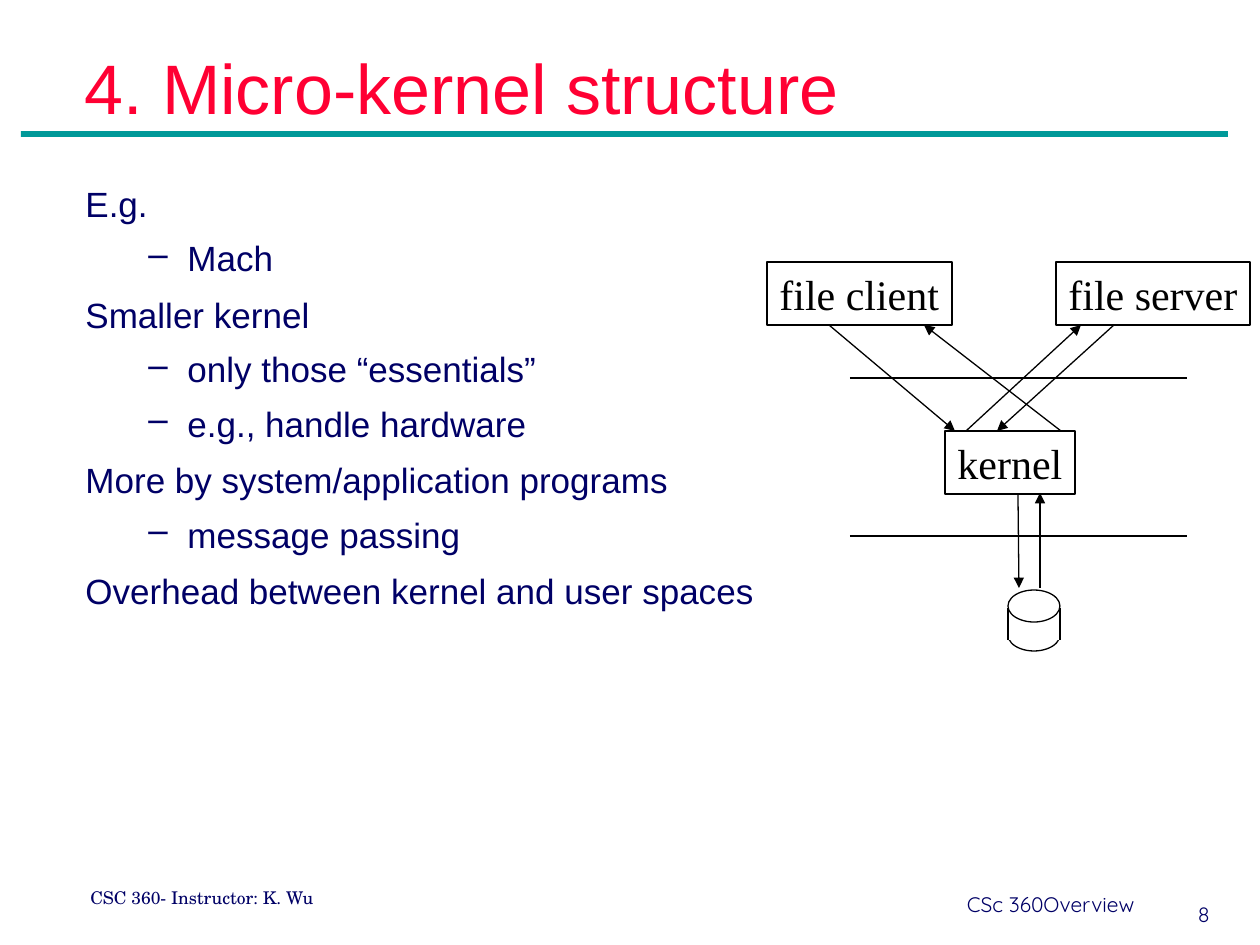
from lxml.etree import SubElement
from pptx import Presentation
from pptx.dml.color import RGBColor
from pptx.enum.shapes import MSO_CONNECTOR, MSO_SHAPE
from pptx.enum.text import MSO_ANCHOR, PP_ALIGN
from pptx.oxml.ns import qn
from pptx.util import Pt

PX = 914400 / 126  # EMU in one px
NAVY, RED, TEAL, BLACK, WHITE = "000066", "FF0033", "009999", "000000", "FFFFFF"

TITLE = "4. Micro-kernel structure"
OUTLINE = [
    (0, "E.g."),
    (1, "Mach"),
    (0, "Smaller kernel"),
    (1, "only those “essentials”"),
    (1, "e.g., handle hardware"),
    (0, "More by system/application programs"),
    (1, "message passing"),
    (0, "Overhead between kernel and user spaces"),
]
# level: left margin px, first-line indent px, space before pt
LEVELS = {0: (47, -47, 7), 1: (102, -39, 6)}

COMPONENTS = [
    ("file client", (767, 262, 185, 63)),
    ("file server", (1056, 262, 194, 63)),
    ("kernel", (945, 431, 130, 63)),
]
BOUNDARIES = [378, 536]
BOUNDARY_LEFT, BOUNDARY_RIGHT = 850, 1187
MESSAGES = [
    (829, 325, 955, 431),
    (966, 431, 1081, 325),
    (1114, 325, 997, 431),
    (1061, 431, 924, 325),
    (1018, 494, 1019, 588),
    (1040, 588, 1040, 493),
]
DISK_LEFT, DISK_RIGHT, DISK_TOP, DISK_HEIGHT, DISK_LID = 1008, 1060, 590, 61, 32


def px(length):
    return round(length * PX)


def color(value):
    return RGBColor.from_string(value)


def add_text(frame, text, size, font, ink, align=PP_ALIGN.LEFT,
             anchor=MSO_ANCHOR.TOP, wrap=True):
    frame.word_wrap = wrap
    frame.vertical_anchor = anchor
    para = frame.paragraphs[0]
    para.text = text
    para.alignment = align
    set_font(para, size, font, ink)


def set_font(para, size, font, ink):
    para.font.size = Pt(size)
    para.font.name = font
    para.font.color.rgb = color(ink)


def add_label(page, area, text, **style):
    box = page.shapes.add_textbox(*map(px, area))
    add_text(box.text_frame, text, **style)


def add_outline(page, area):
    frame = page.shapes.add_textbox(*map(px, area)).text_frame
    frame.word_wrap = True
    for index, (level, text) in enumerate(OUTLINE):
        para = frame.paragraphs[0] if index == 0 else frame.add_paragraph()
        para.text = text
        para.level = level
        para.line_spacing = 1.05
        margin, indent, before = LEVELS[level]
        para.space_before = Pt(before if index else 0)
        properties = para._p.get_or_add_pPr()
        properties.set("marL", str(px(margin)))
        properties.set("indent", str(px(indent)))
        if level:
            SubElement(properties, qn("a:buChar"), char="–")
        else:
            SubElement(properties, qn("a:buNone"))
        set_font(para, 20, "Arial", NAVY)


def add_figure(shapes, kind, area, fill=None, line=None):
    figure = shapes.add_shape(kind, *map(px, area))
    figure.shadow.inherit = False
    if fill:
        figure.fill.solid()
        figure.fill.fore_color.rgb = color(fill)
    else:
        figure.fill.background()
    if line:
        figure.line.color.rgb = color(line)
        figure.line.width = Pt(0.75)
    else:
        figure.line.fill.background()
    return figure


def add_line(shapes, ends, arrow=False):
    line = shapes.add_connector(MSO_CONNECTOR.STRAIGHT, *map(px, ends))
    line.line.color.rgb = color(BLACK)
    line.line.width = Pt(0.75)
    SubElement(line._element.spPr, qn("a:effectLst"))
    if arrow:
        SubElement(line.line._get_or_add_ln(), qn("a:tailEnd"), type="triangle")


def add_disk(page):
    """Cylinder: a white body hides the upper half of the base ellipse."""
    parts = page.shapes.add_group_shape().shapes
    width = DISK_RIGHT - DISK_LEFT
    base_top = DISK_TOP + DISK_HEIGHT - DISK_LID
    side_top, side_bottom = DISK_TOP + 18, DISK_TOP + 50
    add_figure(parts, MSO_SHAPE.OVAL, (DISK_LEFT, base_top, width, DISK_LID), line=BLACK)
    add_figure(parts, MSO_SHAPE.RECTANGLE,
               (DISK_LEFT, side_top, width, side_bottom - side_top), fill=WHITE)
    add_figure(parts, MSO_SHAPE.OVAL, (DISK_LEFT, DISK_TOP, width, DISK_LID), line=BLACK)
    for x in (DISK_LEFT, DISK_RIGHT):
        add_line(parts, (x, side_bottom, x, side_top))


def main():
    deck = Presentation()
    deck.slide_width, deck.slide_height = px(1260), px(945)
    page = deck.slides.add_slide(deck.slide_layouts[6])

    add_figure(page.shapes, MSO_SHAPE.RECTANGLE, (21, 131, 1207, 6), fill=TEAL)
    add_label(page, (78, 881, 248, 34), "CSC 360- Instructor: K. Wu",
              size=10, font="TeX Gyre Schola", ink=NAVY, wrap=False)
    for area, text in [((731, 887, 416, 34), "CSc 360Overview"),
                       ((1167, 897, 55, 34), "8")]:
        add_label(page, area, text, size=12, font="Quicksand", ink=NAVY,
                  align=PP_ALIGN.RIGHT, anchor=MSO_ANCHOR.MIDDLE)
    add_label(page, (72, 38, 1130, 97), TITLE, size=40, font="Arial", ink=RED,
              anchor=MSO_ANCHOR.MIDDLE)
    add_outline(page, (73, 174, 1128, 667))

    for y in BOUNDARIES:
        add_line(page.shapes, (BOUNDARY_LEFT, y, BOUNDARY_RIGHT, y))
    for name, area in COMPONENTS:
        box = add_figure(page.shapes, MSO_SHAPE.RECTANGLE, area, line=BLACK)
        add_text(box.text_frame, name, size=24, font="Times New Roman", ink=BLACK,
                 wrap=False)
    add_disk(page)
    for ends in MESSAGES:
        add_line(page.shapes, ends, arrow=True)

    deck.save("out.pptx")


if __name__ == "__main__":
    main()
